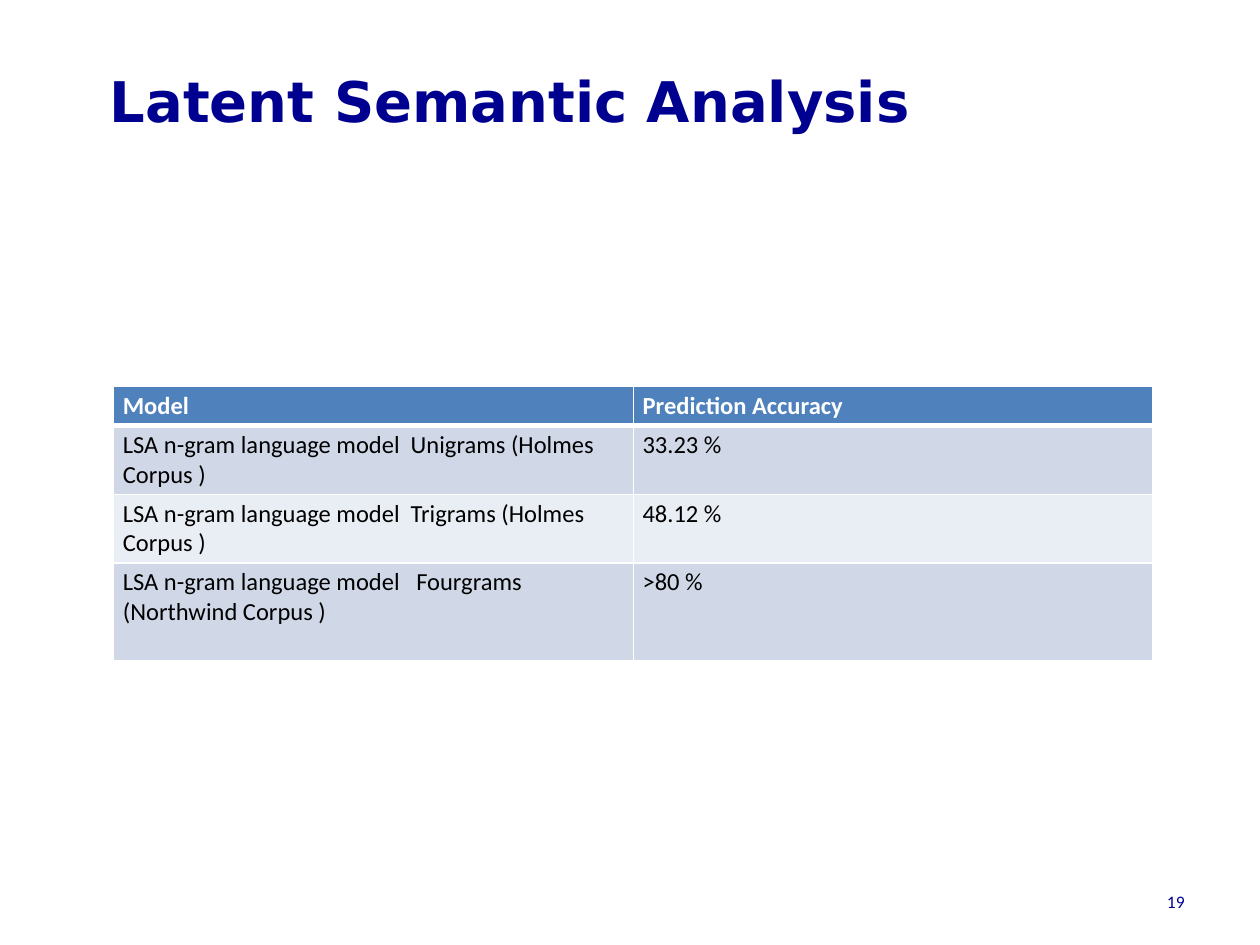
from lxml import etree
from pptx import Presentation
from pptx.dml.color import RGBColor
from pptx.enum import text
from pptx.oxml.ns import qn
from pptx.util import Pt

TITLE = "Latent Semantic Analysis"
PAGE_NUMBER = "19"
ROWS = [
    ("Model", "Prediction Accuracy"),
    ("LSA n-gram language model  Unigrams (Holmes Corpus )", "33.23 %"),
    ("LSA n-gram language model  Trigrams (Holmes Corpus )", "48.12 %"),
    ("LSA n-gram language model   Fourgrams (Northwind Corpus )", ">80 %"),
]
ROW_HEIGHTS = [22, 39, 39, 56]
COLUMN_WIDTH = 297
NAVY, WHITE, BLACK = "000090", "FFFFFF", "000000"
HEADER_FILL, BAND_FILLS = "4F81BD", ("E9EDF4", "D0D8E8")


def color(value):
    return RGBColor.from_string(value)


def write(frame, words, font, size, ink, bold=False, align=text.PP_ALIGN.LEFT):
    frame.text = words
    frame.word_wrap = True
    para = frame.paragraphs[0]
    para.alignment = align
    para.font.name, para.font.size, para.font.bold = font, Pt(size), bold
    para.font.color.rgb = color(ink)


def place(shape, left, top, width, height):
    shape.left, shape.top = Pt(left), Pt(top)
    shape.width, shape.height = Pt(width), Pt(height)


def add_borders(cell, bottom):
    """Draw white cell borders, the lower one with its own width in points."""
    properties = cell._tc.get_or_add_tcPr()
    widths = {"a:lnL": 1, "a:lnR": 1, "a:lnT": 1, "a:lnB": bottom}
    for index, (tag, width) in enumerate(widths.items()):
        line = etree.Element(qn(tag), w=str(Pt(width)))
        fill = etree.SubElement(line, qn("a:solidFill"))
        etree.SubElement(fill, qn("a:srgbClr"), val=WHITE)
        properties.insert(index, line)


def add_accuracy_table(page):
    table = page.shapes.add_table(
        len(ROWS), 2, Pt(65), Pt(221), Pt(2 * COLUMN_WIDTH), Pt(sum(ROW_HEIGHTS))
    ).table
    for column in table.columns:
        column.width = Pt(COLUMN_WIDTH)
    for r, (values, height) in enumerate(zip(ROWS, ROW_HEIGHTS)):
        table.rows[r].height = Pt(height)
        header = r == 0
        for c, value in enumerate(values):
            cell = table.cell(r, c)
            cell.margin_left = cell.margin_right = Pt(5.2)
            cell.margin_top = cell.margin_bottom = Pt(2.6)
            cell.fill.solid()
            cell.fill.fore_color.rgb = color(HEADER_FILL if header else BAND_FILLS[r % 2])
            write(cell.text_frame, value, "Calibri", 14, WHITE if header else BLACK, header)
            # The top edge of the first body row matches the thick header rule.
            add_borders(cell, 3 if header else 1)


def main():
    deck = Presentation()
    deck.slide_width, deck.slide_height = Pt(720), Pt(540)
    page = deck.slides.add_slide(deck.slide_layouts[5])

    title = page.shapes.title
    place(title, 55.5, 24, 664.5, 66)
    write(title.text_frame, TITLE, "DejaVu Sans", 32, NAVY, bold=True)
    title.text_frame.vertical_anchor = text.MSO_ANCHOR.MIDDLE

    add_accuracy_table(page)

    box = page.shapes.add_textbox(Pt(516), Pt(500.5), Pt(168), Pt(28.8))
    write(box.text_frame, PAGE_NUMBER, "Calibri", 10, NAVY, align=text.PP_ALIGN.RIGHT)
    box.text_frame.vertical_anchor = text.MSO_ANCHOR.MIDDLE

    deck.save("out.pptx")


if __name__ == "__main__":
    main()
